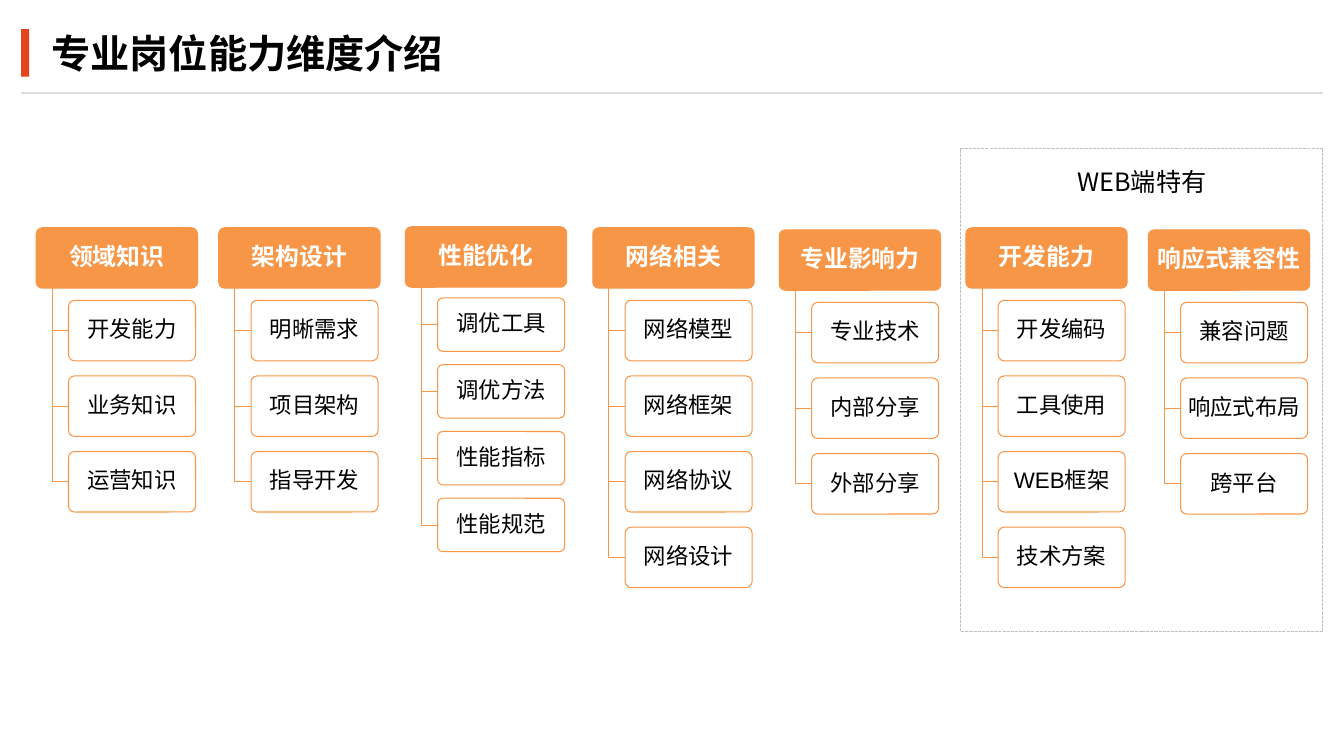
from lxml import etree
from pptx import Presentation
from pptx.dml.color import RGBColor
from pptx.enum.dml import MSO_LINE
from pptx.enum.shapes import MSO_CONNECTOR, MSO_SHAPE
from pptx.enum.text import MSO_ANCHOR, PP_ALIGN
from pptx.oxml.ns import qn
from pptx.util import Inches, Pt

RECTANGLE, ROUNDED = MSO_SHAPE.RECTANGLE, MSO_SHAPE.ROUNDED_RECTANGLE
STRAIGHT = MSO_CONNECTOR.STRAIGHT
DASHED = MSO_LINE.SQUARE_DOT
TOP, MIDDLE = MSO_ANCHOR.TOP, MSO_ANCHOR.MIDDLE
LEFT, CENTER = PP_ALIGN.LEFT, PP_ALIGN.CENTER

# Content: heading, left, top, height of each item, items
TITLE = "专业岗位能力维度介绍"
FRAME_LABEL = "WEB端特有"
COLUMNS = [
    ("领域知识", 0.36, 2.26, 0.6, ["开发能力", "业务知识", "运营知识"]),
    ("架构设计", 2.17, 2.26, 0.6, ["明晰需求", "项目架构", "指导开发"]),
    ("性能优化", 4.02, 2.25, 0.53, ["调优工具", "调优方法", "性能指标", "性能规范"]),
    ("网络相关", 5.88, 2.26, 0.6, ["网络模型", "网络框架", "网络协议", "网络设计"]),
    ("专业影响力", 7.73, 2.28, 0.6, ["专业技术", "内部分享", "外部分享"]),
    ("开发能力", 9.58, 2.26, 0.6, ["开发编码", "工具使用", "WEB框架", "技术方案"]),
    ("响应式兼容性", 11.39, 2.28, 0.6, ["兼容问题", "响应式布局", "跨平台"]),
]

COLORS = {"accent": "E2441C", "rule": "DDDDDD", "orange": "F79646",
          "white": "FFFFFF", "black": "000000", "frame": "BFBFBF"}
CJK_FONT = "Noto Sans CJK SC"
TITLE_FONT = {"size": Pt(28), "name": CJK_FONT, "bold": True}
HEADING_FONT = {"size": Pt(17), "name": CJK_FONT, "bold": True}
ITEM_FONT = {"size": Pt(16), "name": "Arial", "bold": False}
FRAME_FONT = {"size": Pt(18), "name": CJK_FONT, "bold": False}

HEADING_WIDTH, HEADING_HEIGHT = 1.6, 0.6
TRUNK_INSET, ITEM_INSET, ITEM_WIDTH = 0.16, 0.32, 1.26
GAP_RATIO, STEP_RATIO = 0.2, 1.25


def color(name):
    return RGBColor.from_string(COLORS[name])


def set_line(line, name, width=0.75):
    line.color.rgb = color(name)
    line.width = Pt(width)


def add_box(slide, kind, box, fill=None, line=None):
    shape = slide.shapes.add_shape(kind, *map(Inches, box))
    shape.shadow.inherit = False
    if kind == ROUNDED:
        shape.adjustments[0] = 0.1
    if fill:
        shape.fill.solid()
        shape.fill.fore_color.rgb = color(fill)
    else:
        shape.fill.background()
    if line:
        set_line(shape.line, line)
    else:
        shape.line.fill.background()
    return shape


def set_text(shape, text, font, font_color, align=CENTER, anchor=MIDDLE,
             margins=(0.04, 0.02, 0.04, 0.02), **spacing):
    frame = shape.text_frame
    left, top, right, bottom = map(Inches, margins)
    layout = {"word_wrap": True, "vertical_anchor": anchor, "margin_left": left,
              "margin_top": top, "margin_right": right, "margin_bottom": bottom}
    for name, value in layout.items():
        setattr(frame, name, value)
    paragraph = frame.paragraphs[0]
    for name, value in {"alignment": align, **spacing}.items():
        setattr(paragraph, name, value)
    run = paragraph.add_run()
    run.text = text
    for name, value in font.items():
        setattr(run.font, name, value)
    run.font.color.rgb = color(font_color)
    # Chinese characters take the East Asian typeface
    properties = run.font._element
    etree.SubElement(properties, qn("a:ea")).set("typeface", CJK_FONT)


def add_branch(slide, x, top, bottom, end_x):
    builder = slide.shapes.build_freeform(Inches(x), Inches(top))
    builder.add_line_segments([(Inches(x), Inches(bottom)),
                               (Inches(end_x), Inches(bottom))], close=False)
    branch = builder.convert_to_shape()
    branch.shadow.inherit = False
    branch.fill.background()
    set_line(branch.line, "orange")


def add_column(slide, heading, left, top, item_height, items):
    heading_box = add_box(slide, ROUNDED, (left, top, HEADING_WIDTH, HEADING_HEIGHT),
                          "orange", "orange")
    set_text(heading_box, heading, HEADING_FONT, "white", line_spacing=0.9)
    heading_bottom = top + HEADING_HEIGHT
    item_left = left + ITEM_INSET
    for index, item in enumerate(items):
        item_top = heading_bottom + item_height * (GAP_RATIO + STEP_RATIO * index)
        add_branch(slide, left + TRUNK_INSET, heading_bottom,
                   item_top + item_height / 2, item_left)
        item_box = add_box(slide, ROUNDED, (item_left, item_top, ITEM_WIDTH, item_height),
                           "white", "orange")
        fill_color = item_box._element.spPr.find(qn("a:solidFill"))[0]
        etree.SubElement(fill_color, qn("a:alpha")).set("val", "90000")
        set_text(item_box, item, ITEM_FONT, "black", line_spacing=0.9)


def main():
    presentation = Presentation()
    presentation.slide_width = Inches(13.33)
    presentation.slide_height = Inches(7.5)
    slide = presentation.slides.add_slide(presentation.slide_layouts[6])

    # Title bar
    rule = slide.shapes.add_connector(STRAIGHT, Inches(0.21), Inches(0.92),
                                      Inches(13.12), Inches(0.92))
    set_line(rule.line, "rule", 1.5)
    etree.SubElement(rule._element.spPr, qn("a:effectLst"))
    add_box(slide, RECTANGLE, (0.21, 0.29, 0.08, 0.47), "accent")

    # Ability columns
    for column in COLUMNS:
        add_column(slide, *column)

    # Title
    title = slide.shapes.add_textbox(*map(Inches, (0.37, 0.13, 10.29, 0.79)))
    set_text(title, TITLE, TITLE_FONT, "black", align=LEFT,
             margins=(0.14, 0.05, 0.05, 0.05), space_before=Pt(9))

    # Frame around the web-only columns
    frame = add_box(slide, RECTANGLE, (9.53, 1.47, 3.59, 4.8), line="frame")
    frame.line.dash_style = DASHED
    set_text(frame, FRAME_LABEL, FRAME_FONT, "black", anchor=TOP,
             margins=(0.1, 0.18, 0.1, 0.05))

    presentation.save("out.pptx")


if __name__ == "__main__":
    main()
